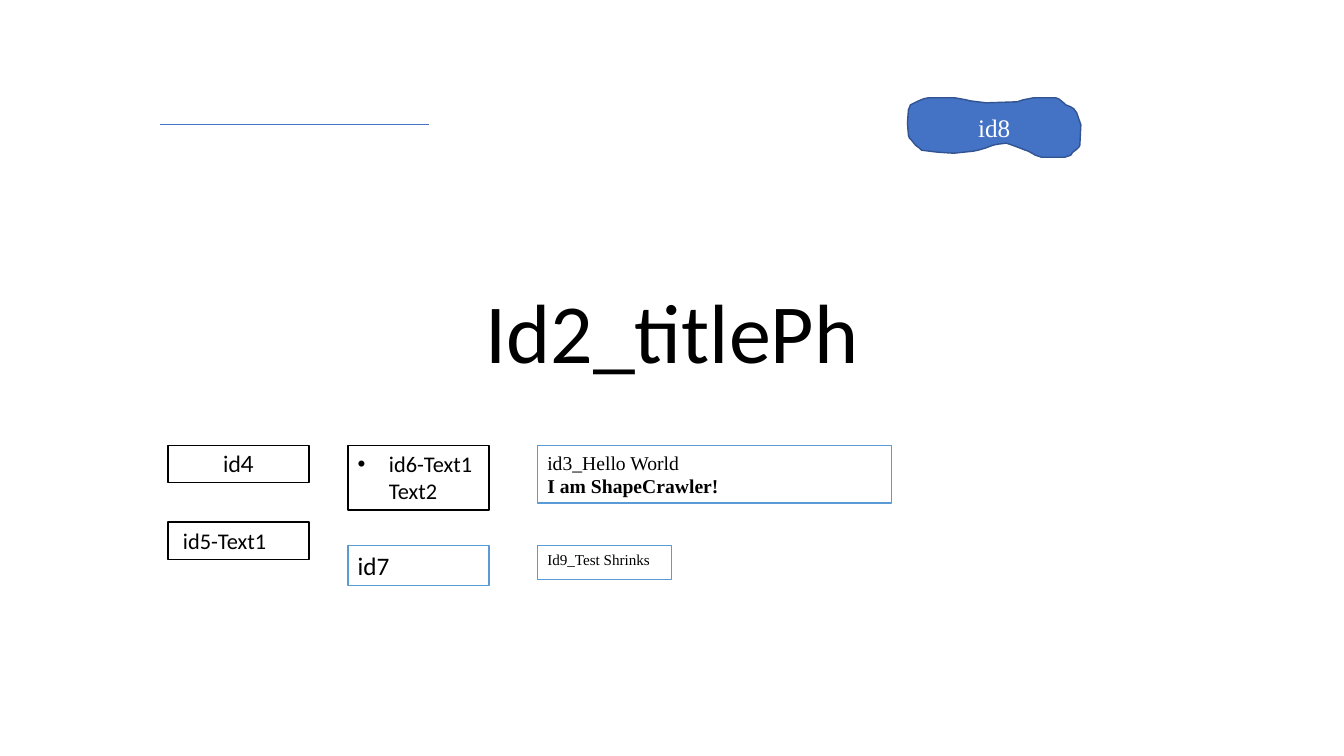
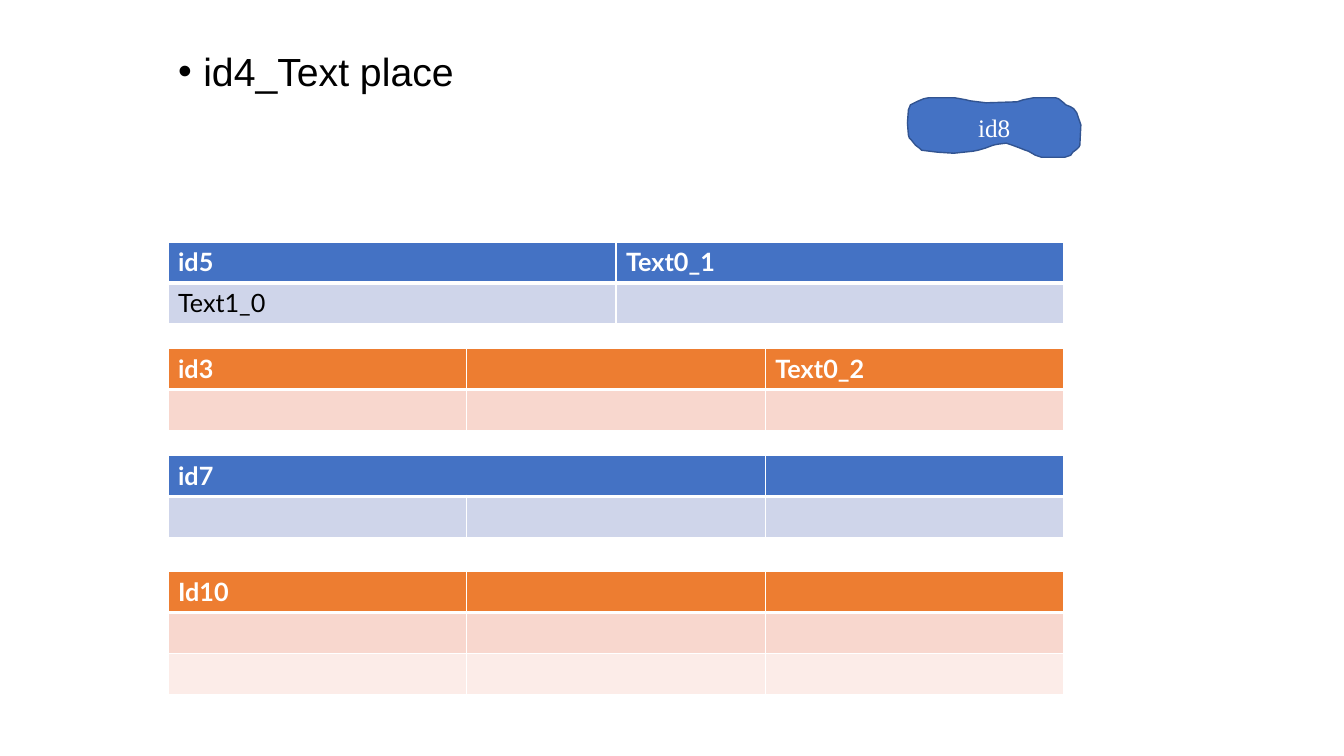
from dataclasses import dataclass

from lxml import etree
from pptx import Presentation
from pptx.dml.color import RGBColor
from pptx.enum.shapes import MSO_CONNECTOR, MSO_SHAPE
from pptx.enum.text import MSO_ANCHOR, MSO_AUTO_SIZE, PP_ALIGN
from pptx.oxml.ns import qn
from pptx.util import Inches, Pt

RECTANGLE, STRAIGHT = MSO_SHAPE.RECTANGLE, MSO_CONNECTOR.STRAIGHT
LEFT, CENTER = PP_ALIGN.LEFT, PP_ALIGN.CENTER
TOP, MIDDLE, BOTTOM = MSO_ANCHOR.TOP, MSO_ANCHOR.MIDDLE, MSO_ANCHOR.BOTTOM
GROW, FIXED = MSO_AUTO_SIZE.SHAPE_TO_FIT_TEXT, MSO_AUTO_SIZE.NONE

SLIDE_W, SLIDE_H = 13.33, 7.5
MARGIN = SLIDE_W / 8
BOX_LEFTS = (MARGIN, 3.45, 5.33)
TABLE_W = SLIDE_W * 2 / 3
ROW_H = 0.81 / 2

BLACK, WHITE = "000000", "FFFFFF"
BLUE, DARK_BLUE, SKY = "4472C4", "325491", "5B9BD5"
ORANGE = "ED7D31"
BLUE_ROWS = (BLUE, "CFD5EA")
ORANGE_ROWS = (ORANGE, "F8D7CE", "FCECE8")
SERIF, SANS, HEADING = "Times New Roman", "Calibri", "Lato"

BLOB_OUTLINE = (
    (9.12, 1.47), (9.08, 1.44), (9.04, 1.39), (9.02, 1.37), (9.01, 1.34),
    (9, 1.22), (9.01, 1.09), (9.03, 1.04), (9.09, 1.01), (9.16, 0.98),
    (9.21, 0.97), (9.47, 0.97), (9.58, 0.99), (9.62, 1), (9.78, 1.02),
    (10.09, 1.01), (10.15, 0.99), (10.25, 0.97), (10.47, 0.97), (10.5, 0.98),
    (10.55, 1.02), (10.57, 1.04), (10.62, 1.06), (10.65, 1.08), (10.68, 1.12),
    (10.69, 1.15), (10.72, 1.24), (10.71, 1.44), (10.7, 1.46), (10.68, 1.48),
    (10.64, 1.51), (10.62, 1.54), (10.56, 1.56), (10.33, 1.56), (10.27, 1.54),
    (10.2, 1.5), (10.17, 1.49), (10.12, 1.47), (10.04, 1.44), (9.98, 1.42),
    (9.9, 1.43), (9.85, 1.44), (9.77, 1.47), (9.7, 1.49), (9.65, 1.5),
    (9.46, 1.52), (9.3, 1.51), (9.14, 1.49),
)


@dataclass(frozen=True)
class Style:
    font: str = SANS
    size: float = 16
    color: str = BLACK
    bold: bool = False


@dataclass(frozen=True)
class Box:
    column: int
    top: float
    width: float
    height: float
    paragraphs: tuple[tuple[str, Style], ...]
    border: str = BLACK
    align: PP_ALIGN = LEFT
    indent: float = 0
    bullet: bool = False
    fit: MSO_AUTO_SIZE = GROW


@dataclass(frozen=True)
class Grid:
    top: float
    columns: int
    row_fills: tuple[str, ...]
    texts: dict[tuple[int, int], str]
    merged_heading: int = 1


BOXES = (
    Box(0, 4.42, 1.4, 0.37, (("id4", Style(HEADING)),), align=CENTER),
    Box(0, 5.18, 1.4, 0.37, (("id5-Text1", Style()),), indent=0.05),
    Box(1, 4.42, 1.4, 0.64, (("id6-Text1\nText2", Style()),), indent=0.31, bullet=True),
    Box(2, 4.42, 3.51, 0.57, (("id3_Hello World", Style(SERIF, 14)),
                              ("I am ShapeCrawler!", Style(SERIF, 14, bold=True))), SKY),
    Box(1, 5.41, 1.4, 0.4, (("id7", Style(size=18)),), SKY),
    Box(2, 5.41, 1.33, 0.34, (("Id9_Test Shrinks", Style(SERIF, 10.8)),), SKY, fit=FIXED),
)

GRIDS = (
    Grid(2.4, 2, BLUE_ROWS, {(0, 0): "id5", (0, 1): "Text0_1", (1, 0): "Text1_0"}),
    Grid(3.46, 3, ORANGE_ROWS[:2], {(0, 0): "id3", (0, 2): "Text0_2"}),
    Grid(4.52, 3, BLUE_ROWS, {(0, 0): "id7"}, merged_heading=2),
    Grid(5.67, 3, ORANGE_ROWS, {(0, 0): "Id10"}),
)


def rgb(color: str) -> RGBColor:
    return RGBColor.from_string(color)


def write(paragraph, text: str, style: Style) -> None:
    """Add the text run by run, with a line break at each newline."""
    for number, line in enumerate(text.split("\n")):
        if number:
            paragraph.add_line_break()
        run = paragraph.add_run()
        run.text = line
        run.font.name, run.font.size = style.font, Pt(style.size)
        run.font.bold, run.font.color.rgb = style.bold, rgb(style.color)


def set_indent(paragraph, indent: float, bullet: bool) -> None:
    """Indent the paragraph; a bullet hangs in the indent."""
    properties = paragraph._p.get_or_add_pPr()
    properties.set("marL", str(Inches(indent)))
    properties.set("indent", str(-Inches(indent) if bullet else 0))
    if bullet:
        etree.SubElement(properties, qn("a:buFont")).set("typeface", "Arial")
        etree.SubElement(properties, qn("a:buChar")).set("char", "•")


def paint(shape, fill: str, border: str) -> None:
    shape.shadow.inherit = False
    shape.fill.solid()
    shape.fill.fore_color.rgb = rgb(fill)
    shape.line.color.rgb = rgb(border)
    shape.line.width = Pt(1)


def place(shape, left: float, top: float, width: float, height: float) -> None:
    shape.left, shape.top = Inches(left), Inches(top)
    shape.width, shape.height = Inches(width), Inches(height)


def add_blob_to_master(prs, slide) -> None:
    """Build the blob on a slide, then move it to the master that all slides share."""
    builder = slide.shapes.build_freeform(
        Inches(BLOB_OUTLINE[0][0]), Inches(BLOB_OUTLINE[0][1]))
    builder.add_line_segments([(Inches(x), Inches(y)) for x, y in BLOB_OUTLINE[1:]])
    blob = builder.convert_to_shape()
    paint(blob, BLUE, DARK_BLUE)
    frame = blob.text_frame
    frame.vertical_anchor = MIDDLE
    frame.paragraphs[0].alignment = CENTER
    write(frame.paragraphs[0], "id8", Style(SERIF, 18, WHITE))
    master = prs.slide_master
    next_id = max(shape.shape_id for shape in master.shapes) + 1
    blob.element.nvSpPr.cNvPr.set("id", str(next_id))
    master.element.cSld.spTree.append(blob.element)


def add_box(slide, box: Box) -> None:
    shape = slide.shapes.add_shape(
        RECTANGLE, Inches(BOX_LEFTS[box.column]), Inches(box.top),
        Inches(box.width), Inches(box.height))
    paint(shape, WHITE, box.border)
    frame = shape.text_frame
    frame.word_wrap, frame.auto_size, frame.vertical_anchor = True, box.fit, TOP
    for number, (text, style) in enumerate(box.paragraphs):
        paragraph = frame.add_paragraph() if number else frame.paragraphs[0]
        set_indent(paragraph, box.indent, box.bullet)
        paragraph.alignment = box.align
        write(paragraph, text, style)


def add_rule(slide) -> None:
    rule = slide.shapes.add_connector(
        STRAIGHT, Inches(1.59), Inches(1.23), Inches(4.25), Inches(1.23))
    rule.line.color.rgb = rgb(BLUE)
    rule.line.width = Pt(0.5)
    etree.SubElement(rule.element.spPr, qn("a:effectLst"))


def set_borders(cell, bottom: float) -> None:
    """Draw white cell borders, 1 point wide but for the bottom one."""
    properties = cell._tc.get_or_add_tcPr()
    widths = {"a:lnL": 1, "a:lnR": 1, "a:lnT": 1, "a:lnB": bottom}
    for tag, width in widths.items():
        border = etree.SubElement(properties, qn(tag))
        border.set("w", str(Pt(width)))
        fill = etree.SubElement(border, qn("a:solidFill"))
        etree.SubElement(fill, qn("a:srgbClr")).set("val", WHITE)


def add_grid(slide, grid: Grid) -> None:
    row_count = len(grid.row_fills)
    table = slide.shapes.add_table(
        row_count, grid.columns, Inches(MARGIN), Inches(grid.top),
        Inches(TABLE_W), Inches(ROW_H * row_count)).table
    table.first_row = table.horz_banding = False
    for row, fill in enumerate(grid.row_fills):
        heading = row == 0
        style = Style(HEADING, 18, WHITE if heading else BLACK, heading)
        for column in range(grid.columns):
            cell = table.cell(row, column)
            set_borders(cell, bottom=3 if heading else 1)
            cell.fill.solid()
            cell.fill.fore_color.rgb = rgb(fill)
            if (row, column) in grid.texts:
                write(cell.text_frame.paragraphs[0], grid.texts[row, column], style)
    if grid.merged_heading > 1:
        table.cell(0, 0).merge(table.cell(0, grid.merged_heading - 1))


def remove(placeholder) -> None:
    placeholder.element.getparent().remove(placeholder.element)


def build_shapes_slide(prs) -> None:
    slide = prs.slides.add_slide(prs.slide_layouts[0])
    remove(slide.placeholders[1])
    add_blob_to_master(prs, slide)
    title = slide.shapes.title
    place(title, MARGIN, 1.23, SLIDE_W * 3 / 4, 2.61)
    frame = title.text_frame
    frame.vertical_anchor, frame.auto_size = BOTTOM, FIXED
    heading = frame.paragraphs[0]
    heading.alignment, heading.line_spacing = CENTER, 0.9
    write(heading, "Id2_titlePh", Style(size=60))
    for box in BOXES:
        add_box(slide, box)
    add_rule(slide)


def build_tables_slide(prs) -> None:
    slide = prs.slides.add_slide(prs.slide_layouts[1])
    remove(slide.shapes.title)
    body = slide.placeholders[1]
    place(body, MARGIN, 0.51, 4.71, 0.5)
    frame = body.text_frame
    frame.vertical_anchor, frame.auto_size = TOP, FIXED
    item = frame.paragraphs[0]
    set_indent(item, 0.25, bullet=True)
    item.line_spacing, item.space_before = 0.8, Pt(0)
    write(item, "id4_Text place", Style("Arial", 28))
    for grid in GRIDS:
        add_grid(slide, grid)


def main() -> None:
    prs = Presentation()
    prs.slide_width, prs.slide_height = Inches(SLIDE_W), Inches(SLIDE_H)
    build_shapes_slide(prs)
    build_tables_slide(prs)
    prs.save("out.pptx")


if __name__ == "__main__":
    main()
